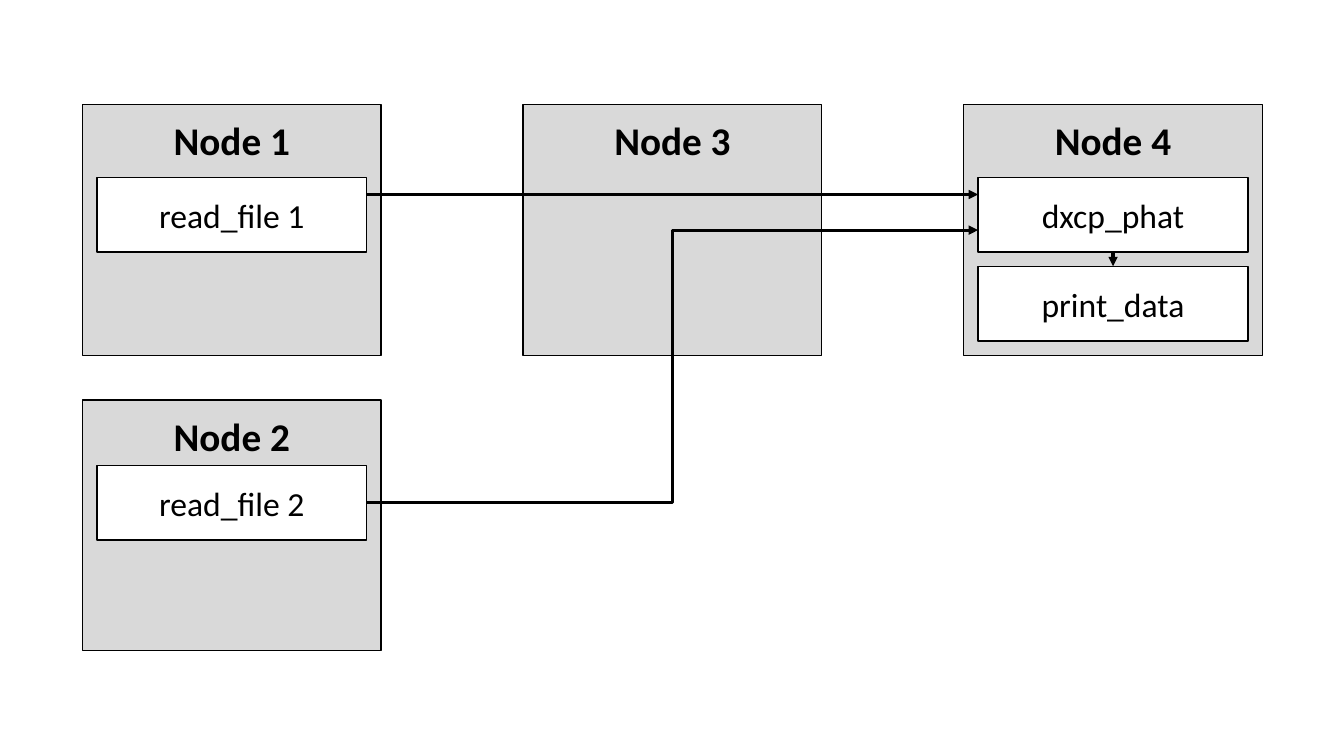
"""Draw a dataflow of file readers on four nodes feeding a print step."""
from dataclasses import dataclass

from lxml.etree import SubElement
from pptx import Presentation
from pptx.dml.color import RGBColor
from pptx.enum.shapes import MSO_CONNECTOR as Connector, MSO_SHAPE as Preset
from pptx.enum.text import MSO_ANCHOR as Anchor, PP_ALIGN as Align
from pptx.oxml.ns import qn
from pptx.util import Cm, Inches, Pt

BLACK, GREY, WHITE = "000000", "D9D9D9", "FFFFFF"
NODE_LEFT, NODE_PITCH, NODE_WIDTH, NODE_HEIGHT = 2.08, 11.1, 7.52, 6.32
NODE_ROWS = (2.64, 10.08)
STEP_INSET, STEP_HEIGHT = 0.36, 1.88
STEP_WIDTH = NODE_WIDTH - 2 * STEP_INSET


@dataclass(frozen=True)
class Style:
    fill: str
    font: dict
    frame: dict


@dataclass(frozen=True)
class Box:
    label: str
    left: float
    top: float
    width: float
    height: float
    style: Style


@dataclass(frozen=True)
class Flow:
    start: tuple[float, float]
    end: tuple[float, float]
    kind: Connector = Connector.STRAIGHT


NODE_STYLE = Style(
    GREY,
    {"name": "Calibri", "size": Pt(28), "bold": True},
    {"vertical_anchor": Anchor.TOP, "margin_top": Cm(0.3), "word_wrap": True},
)
STEP_STYLE = Style(
    WHITE,
    {"name": "Calibri", "size": Pt(24), "bold": False},
    {"vertical_anchor": Anchor.MIDDLE, "word_wrap": True},
)


def paint(color_format, color: str) -> None:
    color_format.rgb = RGBColor.from_string(color)


def apply(target, values: dict) -> None:
    for attribute, value in values.items():
        setattr(target, attribute, value)


def node(label: str, column: int, row: int) -> Box:
    left = NODE_LEFT + column * NODE_PITCH
    return Box(label, left, NODE_ROWS[row], NODE_WIDTH, NODE_HEIGHT, NODE_STYLE)


def step(label: str, host: Box, top: float) -> Box:
    left = host.left + STEP_INSET
    return Box(label, left, top, STEP_WIDTH, STEP_HEIGHT, STEP_STYLE)


def draw_box(slide, box: Box) -> None:
    sides = map(Cm, (box.left, box.top, box.width, box.height))
    shape = slide.shapes.add_shape(Preset.RECTANGLE, *sides)
    shape.shadow.inherit = False
    shape.fill.solid()
    paint(shape.fill.fore_color, box.style.fill)
    paint(shape.line.color, BLACK)
    shape.line.width = Pt(1)
    apply(shape.text_frame, box.style.frame)
    paragraph = shape.text_frame.paragraphs[0]
    paragraph.alignment = Align.CENTER
    run = paragraph.add_run()
    run.text = box.label
    apply(run.font, box.style.font)
    paint(run.font.color, BLACK)


def draw_flow(slide, flow: Flow) -> None:
    ends = map(Cm, (*flow.start, *flow.end))
    arrow = slide.shapes.add_connector(flow.kind, *ends)
    paint(arrow.line.color, BLACK)
    arrow.line.width = Pt(2.25)
    SubElement(arrow.line._get_or_add_ln(), qn("a:tailEnd"), type="triangle")
    SubElement(arrow._element.spPr, qn("a:effectLst"))


node_1 = node("Node 1", 0, 0)
node_2 = node("Node 2", 0, 1)
node_3 = node("Node 3", 1, 0)
node_4 = node("Node 4", 2, 0)
read_1 = step("read_file 1", node_1, 4.47)
read_2 = step("read_file 2", node_2, 11.73)
collect = step("dxcp_phat", node_4, 4.47)
print_data = step("print_data", node_4, 6.71)

readers_right = read_1.left + STEP_WIDTH
collect_middle = collect.left + STEP_WIDTH / 2
FLOWS = (
    Flow((readers_right, 4.9), (collect.left, 4.9)),
    Flow((readers_right, read_2.top + STEP_HEIGHT / 2), (collect.left, 5.8), Connector.ELBOW),
    Flow((collect_middle, collect.top + STEP_HEIGHT), (collect_middle, print_data.top)),
)

deck = Presentation()
apply(deck, {"slide_width": Inches(13.33), "slide_height": Inches(7.5)})
slide = deck.slides.add_slide(deck.slide_layouts[6])
for box in (node_1, node_2, node_3, node_4, read_1, read_2, collect, print_data):
    draw_box(slide, box)
for flow in FLOWS:
    draw_flow(slide, flow)
deck.save("out.pptx")
